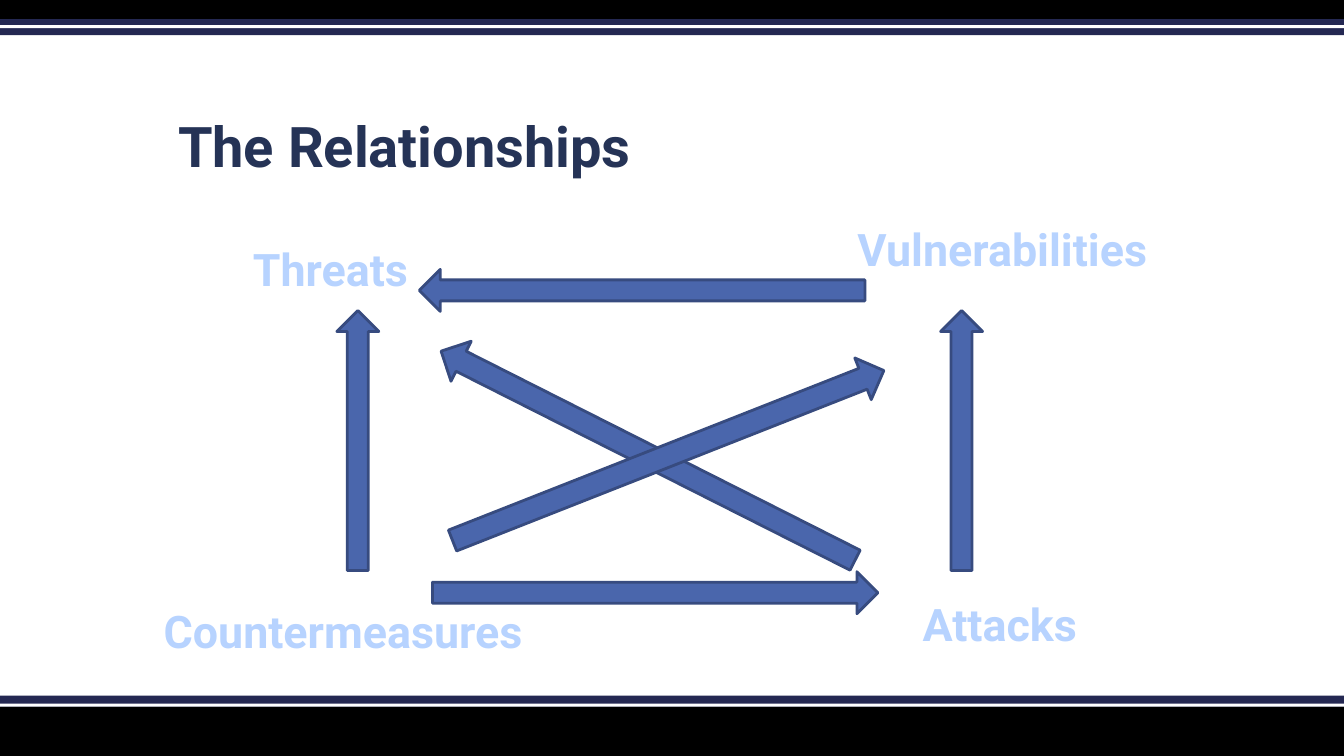
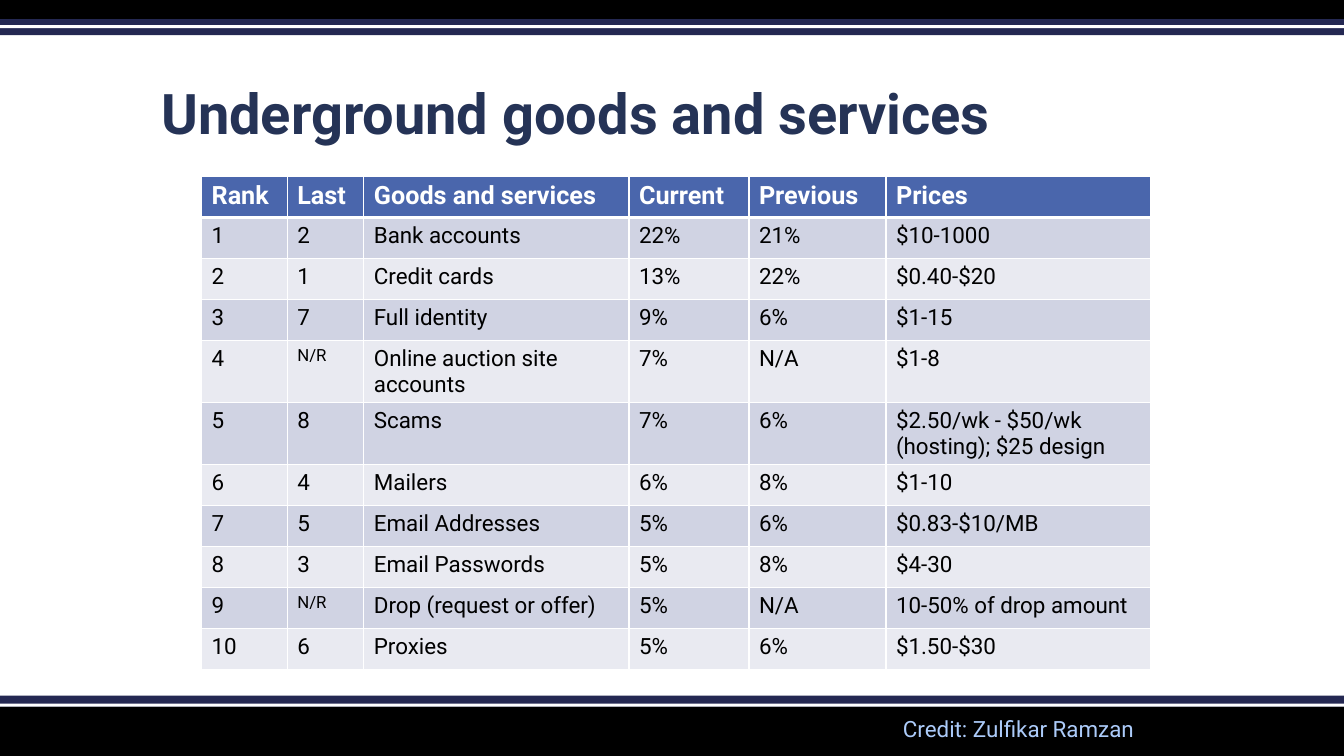
"""Build two slides on threat relationships and the underground market."""
from math import atan2, degrees, hypot

from lxml.etree import SubElement
from pptx import Presentation
from pptx.dml.color import RGBColor
from pptx.enum.shapes import MSO_SHAPE
from pptx.enum.text import MSO_ANCHOR, PP_ALIGN
from pptx.oxml.ns import qn
from pptx.util import Pt

FONT = "Roboto"
WIDTH, HEIGHT = 960, 540
COLORS = {
    "black": "000000", "white": "FFFFFF", "navy": "242852", "title": "253356",
    "blue": "4A66AC", "edge": "374B7F", "label": "B7D3FF", "credit": "ACCBF9",
    "odd": "D0D3E3", "even": "E9EAF1",
}
BANDS = [
    ("black", 504, 36), ("navy", 496.8, 7.92), ("white", 502.56, 2.16),
    ("black", 0, 13.68), ("navy", 13.68, 11.52), ("white", 18, 2.16),
]
STYLES = {
    "title": {"size": Pt(40), "bold": True, "color": "title"},
    "concept": {"size": Pt(32), "bold": True, "color": "label"},
    "credit": {"size": Pt(16), "bold": False, "color": "credit"},
    "header": {"size": Pt(18), "bold": True, "color": "white"},
    "body": {"size": Pt(16), "bold": False, "color": "black"},
    "unranked": {"size": Pt(12), "bold": False, "color": "black"},
}

CONCEPTS = [
    ("Threats", 170.64, 169.2, 131),
    ("Attacks", 648.72, 422.64, 131),
    ("Vulnerabilities", 599.04, 154.8, 234),
    ("Countermeasures", 100.8, 427.68, 288.72),
]
RELATIONS = [
    ((617.8, 207.4), (299.5, 207.4), 30),
    ((308.9, 423.4), (627.1, 423.4), 30),
    ((255.6, 407.5), (255.6, 221.8), 30),
    ((686.9, 407.5), (686.9, 221.8), 30),
    ((610.8, 400.1), (315.1, 250.8), 32),
    ((323.3, 386.1), (631.4, 264.7), 32),
]

GOODS = [
    ("Rank", "Last", "Goods and services", "Current", "Previous", "Prices"),
    ("1", "2", "Bank accounts", "22%", "21%", "$10-1000"),
    ("2", "1", "Credit cards", "13%", "22%", "$0.40-$20"),
    ("3", "7", "Full identity", "9%", "6%", "$1-15"),
    ("4", "N/R", "Online auction site accounts", "7%", "N/A", "$1-8"),
    ("5", "8", "Scams", "7%", "6%", "$2.50/wk - $50/wk (hosting); $25 design"),
    ("6", "4", "Mailers", "6%", "8%", "$1-10"),
    ("7", "5", "Email Addresses", "5%", "6%", "$0.83-$10/MB"),
    ("8", "3", "Email Passwords", "5%", "8%", "$4-30"),
    ("9", "N/R", "Drop (request or offer)", "5%", "N/A", "10-50% of drop amount"),
    ("10", "6", "Proxies", "5%", "6%", "$1.50-$30"),
]
COLUMN_WIDTHS = [61.2, 54.7, 189.4, 85.7, 97.9, 189.4]
ROW_HEIGHT = 29.3


def rgb(name):
    return RGBColor.from_string(COLORS[name])


def write(frame, text, style, align=PP_ALIGN.LEFT):
    paragraph = frame.paragraphs[0]
    paragraph.alignment = align
    run = paragraph.add_run()
    run.text = text
    formats = {"name": FONT, **STYLES[style]}
    run.font.color.rgb = rgb(formats.pop("color"))
    for attribute, value in formats.items():
        setattr(run.font, attribute, value)
    return paragraph


def add_block(slide, preset, box, fill):
    block = slide.shapes.add_shape(preset, *map(Pt, box))
    block.shadow.inherit = False
    block.fill.solid()
    block.fill.fore_color.rgb = rgb(fill)
    block.line.fill.background()
    return block


def add_label(slide, text, box, style, align=PP_ALIGN.LEFT):
    frame = slide.shapes.add_textbox(*map(Pt, box)).text_frame
    frame.word_wrap = False
    write(frame, text, style, align)


def add_titled_slide(deck, text, left, top):
    slide = deck.slides.add_slide(deck.slide_layouts[5])
    for fill, band_top, height in BANDS:
        add_block(slide, MSO_SHAPE.RECTANGLE, (0, band_top, WIDTH, height), fill)
    title = slide.shapes.title
    place = {"left": left, "top": top, "width": 720, "height": 84.24}
    for attribute, value in place.items():
        setattr(title, attribute, Pt(value))
    title.text_frame.vertical_anchor = MSO_ANCHOR.BOTTOM
    title.text_frame.word_wrap = True
    write(title.text_frame, text, "title").line_spacing = 0.9
    return slide


def add_arrow(slide, tail, tip, breadth):
    across, down = tip[0] - tail[0], tip[1] - tail[1]
    length = hypot(across, down)
    left = (tail[0] + tip[0] - length) / 2
    top = (tail[1] + tip[1] - breadth) / 2
    arrow = add_block(slide, MSO_SHAPE.RIGHT_ARROW, (left, top, length, breadth), "blue")
    arrow.rotation = degrees(atan2(down, across)) % 360
    arrow.line.color.rgb = rgb("edge")
    arrow.line.width = Pt(2)


def add_borders(cell, widths):
    properties = cell._tc.get_or_add_tcPr()
    for side, width in widths.items():
        border = SubElement(properties, qn(f"a:ln{side}"), w=str(Pt(width)))
        fill = SubElement(border, qn("a:solidFill"))
        SubElement(fill, qn("a:srgbClr"), val=COLORS["white"])


def add_goods_table(slide):
    size = sum(COLUMN_WIDTHS), ROW_HEIGHT * len(GOODS)
    table = slide.shapes.add_table(
        len(GOODS), len(COLUMN_WIDTHS), Pt(144), Pt(126), *map(Pt, size)).table
    for column, width in zip(table.columns, COLUMN_WIDTHS):
        column.width = Pt(width)
    for row, entries in enumerate(GOODS):
        table.rows[row].height = Pt(ROW_HEIGHT)
        fill = "blue" if row == 0 else ("even", "odd")[row % 2]
        sides = {"L": 1, "R": 1, "T": 3 if row == 1 else 1, "B": 3 if row == 0 else 1}
        for column, text in enumerate(entries):
            cell = table.cell(row, column)
            add_borders(cell, sides)
            cell.fill.solid()
            cell.fill.fore_color.rgb = rgb(fill)
            style = "header" if row == 0 else "unranked" if text == "N/R" else "body"
            write(cell.text_frame, text, style)


def main():
    deck = Presentation()
    deck.slide_width, deck.slide_height = Pt(WIDTH), Pt(HEIGHT)

    relationships = add_titled_slide(deck, "The Relationships", 120, 48)
    for tail, tip, breadth in RELATIONS:
        add_arrow(relationships, tail, tip, breadth)
    for text, left, top, width in CONCEPTS:
        add_label(relationships, text, (left, top, width, 46), "concept", PP_ALIGN.CENTER)

    market = add_titled_slide(deck, "Underground goods and services", 108, 24)
    add_goods_table(market)
    add_label(market, "Credit: Zulfikar Ramzan", (637.92, 507.6, 184.32, 26.64), "credit")

    deck.save("out.pptx")


if __name__ == "__main__":
    main()
